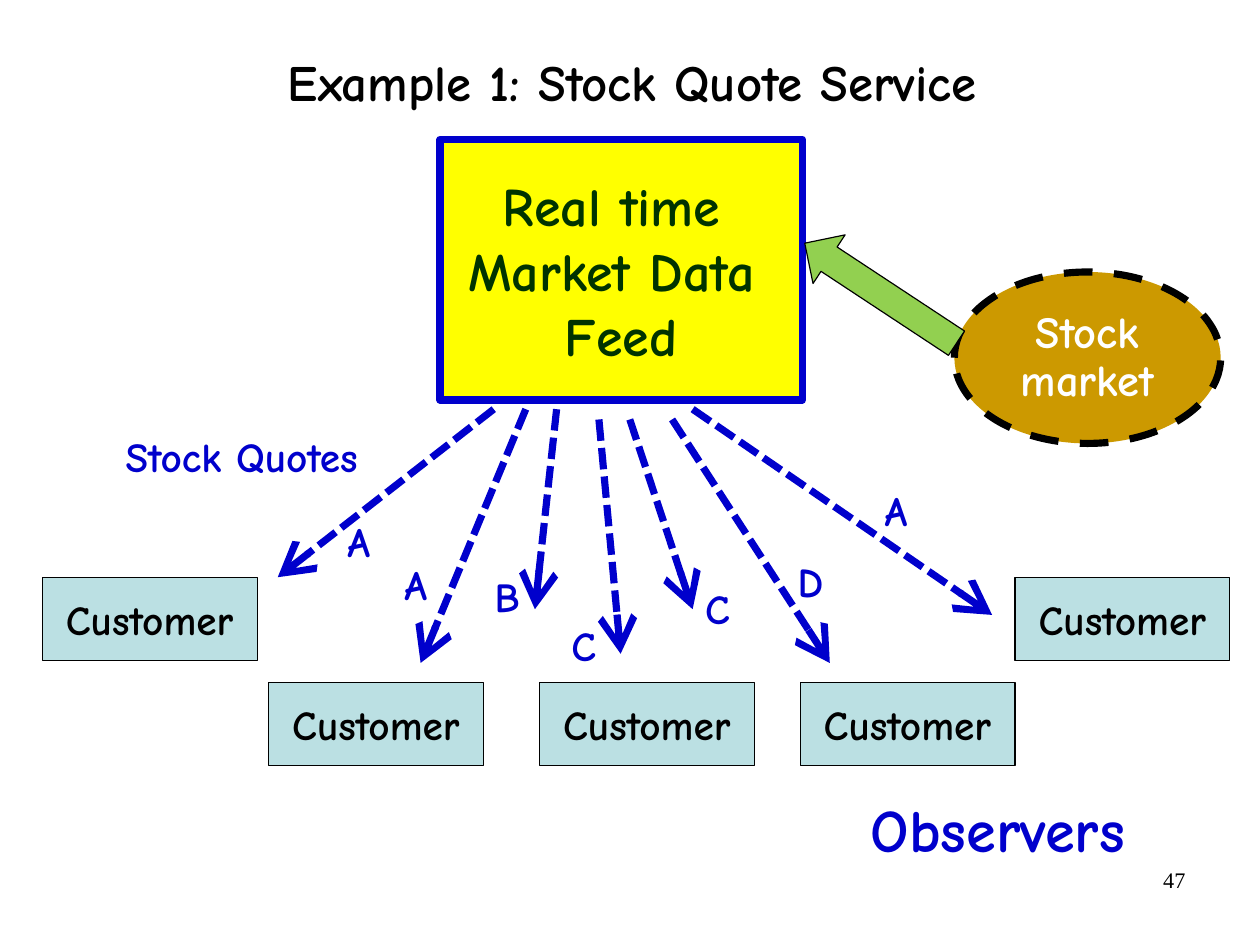
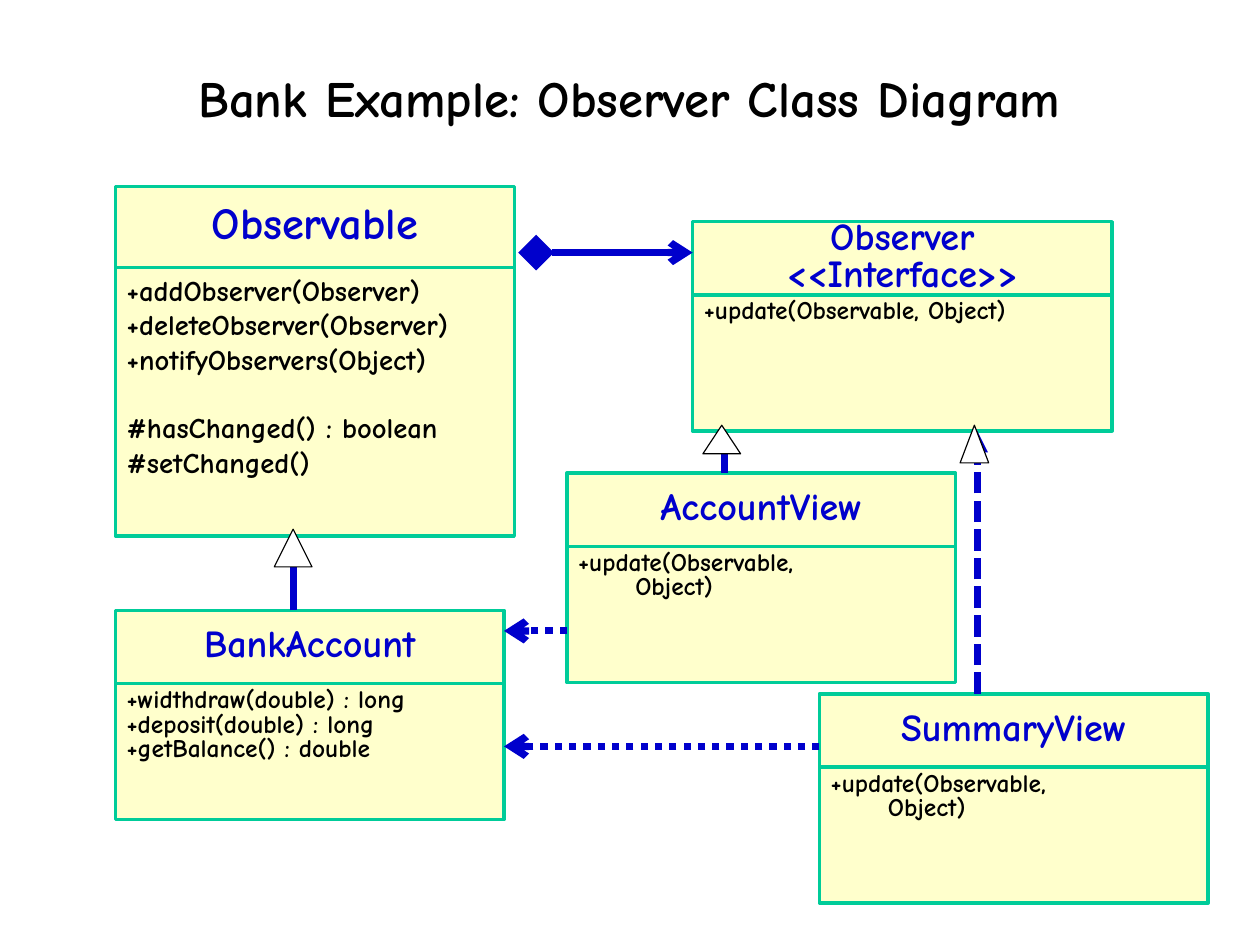
from dataclasses import dataclass
from typing import Optional

from lxml import etree
from pptx import Presentation, util as u
from pptx.dml import color
from pptx.enum import dml, shapes, text
from pptx.oxml import ns

In = u.Inches
Kind = shapes.MSO_SHAPE
Dash = dml.MSO_LINE
Side = text.PP_ALIGN
Mid = text.MSO_ANCHOR.MIDDLE
Top = text.MSO_ANCHOR.TOP


@dataclass(frozen=True)
class Theme:
    wide: float = 28 / 2.54   # 28 by 21 cm, in inches
    high: float = 21 / 2.54
    face: str = "Comic Neue"
    serif: str = "Times New Roman"
    black: str = "000000"
    white: str = "FFFFFF"
    blue: str = "0000CC"
    green: str = "003300"
    yellow: str = "FFFF00"
    aqua: str = "BBE0E3"
    gold: str = "CC9900"
    lime: str = "92D050"
    cream: str = "FFFFCC"
    teal: str = "00CC99"
    thin: float = 0.75
    rim: float = 2.25
    thick: float = 4.5
    title: int = 32
    feed: int = 34
    large: int = 38
    oval: int = 28
    label: int = 26
    page: int = 14


T = Theme()


@dataclass(frozen=True)
class Box:
    x: float
    y: float
    w: float
    h: float

    def lengths(self) -> tuple:
        return In(self.x), In(self.y), In(self.w), In(self.h)


@dataclass(frozen=True)
class Style:
    size: int
    ink: str = T.blue
    side: Side = Side.CENTER
    anchor: text.MSO_ANCHOR = Mid
    pitch: float = 1.0
    face: str = T.face
    bold: bool = True


@dataclass(frozen=True)
class Row:
    words: str
    gap: float = 0      # points before the row
    indent: float = 0   # inches


@dataclass(frozen=True)
class Tip:
    kind: str
    size: str = "med"


OPEN, WIDE = Tip("arrow"), Tip("arrow", "lg")
SOLID, GEM = Tip("triangle"), Tip("diamond", "lg")


@dataclass(frozen=True)
class Link:
    x1: float
    y1: float
    x2: float
    y2: float
    dash: Optional[Dash] = None
    tail: Tip = OPEN
    head: Optional[Tip] = None


@dataclass(frozen=True)
class Tag:
    words: str
    x: float
    y: float


@dataclass(frozen=True)
class Model:
    """A class box of the diagram: a name part over a member part."""
    names: tuple
    rows: tuple
    x: float
    y: float
    w: float = 3.4
    top: float = 0.64
    body: float = 1.19
    big: int = 24
    small: int = 16
    pitch: float = 0.8


def rgb(code: str) -> color.RGBColor:
    return color.RGBColor.from_string(code)


def write(shape, rows: tuple, style: Style) -> None:
    frame = shape.text_frame
    frame.word_wrap = True
    frame.vertical_anchor = style.anchor
    for i, row in enumerate(rows):
        row = Row(row) if isinstance(row, str) else row
        para = frame.add_paragraph() if i else frame.paragraphs[0]
        para.alignment = style.side
        para.line_spacing = style.pitch
        if row.gap:
            para.space_before = u.Pt(row.gap)
        if row.indent:
            para._p.get_or_add_pPr().set("marL", str(In(row.indent)))
        run = para.add_run()
        run.text = row.words
        font = run.font
        font.name, font.size, font.bold = style.face, u.Pt(style.size), style.bold
        font.color.rgb = rgb(style.ink)


def label(slide, box: Box, rows: tuple, style: Style) -> None:
    write(slide.shapes.add_textbox(*box.lengths()), rows, style)


def draw(slide, kind: Kind, box: Box, fill: str, edge: str = T.black,
         width: float = T.thin):
    shape = slide.shapes.add_shape(kind, *box.lengths())
    shape.shadow.inherit = False
    shape.fill.solid()
    shape.fill.fore_color.rgb = rgb(fill)
    shape.line.color.rgb = rgb(edge)
    shape.line.width = u.Pt(width)
    return shape


def join(slide, link: Link) -> None:
    """Draw a thick blue connector with its arrowheads."""
    wire = slide.shapes.add_connector(
        shapes.MSO_CONNECTOR.STRAIGHT,
        In(link.x1), In(link.y1), In(link.x2), In(link.y2))
    wire.line.color.rgb = rgb(T.blue)
    wire.line.width = u.Pt(T.thick)
    if link.dash:
        wire.line.dash_style = link.dash
    props = wire.element.spPr
    line = props.find(ns.qn("a:ln"))
    for end, tip in (("a:headEnd", link.head), ("a:tailEnd", link.tail)):
        if tip:
            etree.SubElement(line, ns.qn(end), type=tip.kind,
                             w=tip.size, len=tip.size)
    etree.SubElement(props, ns.qn("a:effectLst"))


def start(deck, title: str, box: Box):
    """Add a blank slide with the shared title style."""
    slide = deck.slides.add_slide(deck.slide_layouts[6])
    label(slide, box, (title,), Style(T.title, T.black, pitch=0.88))
    return slide


def model(slide, item: Model) -> None:
    parts = (
        (item.y, item.top, item.names, Style(item.big, pitch=0.8)),
        (item.y + item.top, item.body, item.rows,
         Style(item.small, T.black, Side.LEFT, Top, item.pitch)),
    )
    for y, h, rows, style in parts:
        shape = draw(slide, Kind.RECTANGLE, Box(item.x, y, item.w, h),
                     T.cream, T.teal, T.rim)
        write(shape, rows, style)


QUOTES = tuple(Link(*ends, Dash.SQUARE_DOT, WIDE) for ends in (
    (4.32, 3.58, 2.43, 5.05),
    (4.6, 3.58, 3.68, 5.8),
    (4.87, 3.58, 4.68, 5.33),
    (5.24, 3.67, 5.43, 5.72),
    (5.51, 3.67, 6.06, 5.33),
    (5.88, 3.67, 7.26, 5.8),
    (6.06, 3.58, 8.68, 5.38),
))
TAGS = (
    Tag("A", 2.94, 4.47), Tag("A", 3.44, 4.84), Tag("B", 4.23, 4.95),
    Tag("C", 4.9, 5.38), Tag("C", 6.07, 5.05), Tag("A", 7.64, 4.2),
    Tag("D", 6.88, 4.82),
)
HIGH, LOW = 5.05, 5.97
CLIENTS = ((2.35, LOW), (0.37, HIGH), (4.72, LOW), (7, LOW), (8.88, HIGH))

UPDATE = (Row("+update(Observable,"), Row("Object)", indent=0.5))
MODELS = (
    Model(("Observable",),
          ("+addObserver(Observer)", "+deleteObserver(Observer)",
           "+notifyObservers(Object)",
           Row("#hasChanged() : boolean", gap=21.6), "#setChanged()"),
          1.01, 1.63, 3.49, 0.71, 2.35, 28, 18, 1.0),
    Model(("Observer", "<<Interface>>"), ("+update(Observable, Object)",),
          6.06, 1.94, 3.67),
    Model(("AccountView",), UPDATE, 4.96, 4.14),
    Model(("BankAccount",),
          ("+widthdraw(double) : long", "+deposit(double) : long",
           "+getBalance() : double"), 1.01, 5.34),
    Model(("SummaryView",), UPDATE, 7.17, 6.07),
)
LINKS = (
    Link(4.69, 2.21, 6.06, 2.21, head=GEM),
    Link(2.57, 5.34, 2.57, 4.69, tail=SOLID),
    Link(6.34, 4.14, 6.34, 3.77, Dash.SQUARE_DOT, SOLID),
    Link(8.55, 6.07, 8.55, 3.77, Dash.SQUARE_DOT, SOLID),
    Link(4.96, 5.52, 4.41, 5.52, Dash.ROUND_DOT),
    Link(7.17, 6.53, 4.41, 6.53, Dash.ROUND_DOT),
)
HEADS = (Box(6.15, 3.72, 0.33, 0.25), Box(8.4, 3.72, 0.25, 0.33),
         Box(2.4, 4.63, 0.33, 0.33))


def stocks(deck) -> None:
    slide = start(deck, "Example 1: Stock Quote Service",
                  Box(0.41, 0.06, 10.25, 1.38))
    label(slide, Box(7.9, 7.53, 2.57, 0.57), ("47",),
          Style(T.page, T.black, Side.RIGHT, Top, face=T.serif, bold=False))

    feed = draw(slide, Kind.RECTANGLE, Box(3.85, 1.22, 3.17, 2.28),
                T.yellow, T.blue, T.thick)
    write(feed, ("Real time ", "Market Data ", "Feed"), Style(T.feed, T.green))
    for link in QUOTES:
        join(slide, link)

    plain = Style(T.label, side=Side.LEFT, anchor=Top)
    label(slide, Box(1, 3.72, 2.6, 0.55), ("Stock Quotes",), plain)
    for x, y in CLIENTS:
        client = draw(slide, Kind.RECTANGLE, Box(x, y, 1.88, 0.73), T.aqua)
        write(client, ("Customer",), Style(T.label, T.black))
    label(slide, Box(7.52, 6.88, 2.82, 0.75), ("Observers",),
          Style(T.large, side=Side.LEFT, anchor=Top))

    market = draw(slide, Kind.OVAL, Box(8.35, 2.38, 2.33, 1.5),
                  T.gold, T.black, T.thick)
    market.line.dash_style = Dash.DASH
    write(market, ("Stock market",), Style(T.oval, T.white, pitch=0.9))
    arrow = draw(slide, Kind.UP_ARROW, Box(7.45, 1.77, 0.51, 1.59), T.lime)
    arrow.rotation = 303.4
    for tag in TAGS:
        label(slide, Box(tag.x, tag.y, 0.81, 0.54), (tag.words,), plain)


def bank(deck) -> None:
    slide = start(deck, "Bank Example: Observer Class Diagram",
                  Box(0.81, 0.39, 9.4, 0.99))
    for item in MODELS:
        model(slide, item)
    for link in LINKS:
        join(slide, link)
    for box in HEADS:
        draw(slide, Kind.ISOSCELES_TRIANGLE, box, T.white)


def main() -> None:
    deck = Presentation()
    deck.slide_width, deck.slide_height = In(T.wide), In(T.high)
    stocks(deck)
    bank(deck)
    deck.save("out.pptx")


if __name__ == "__main__":
    main()
